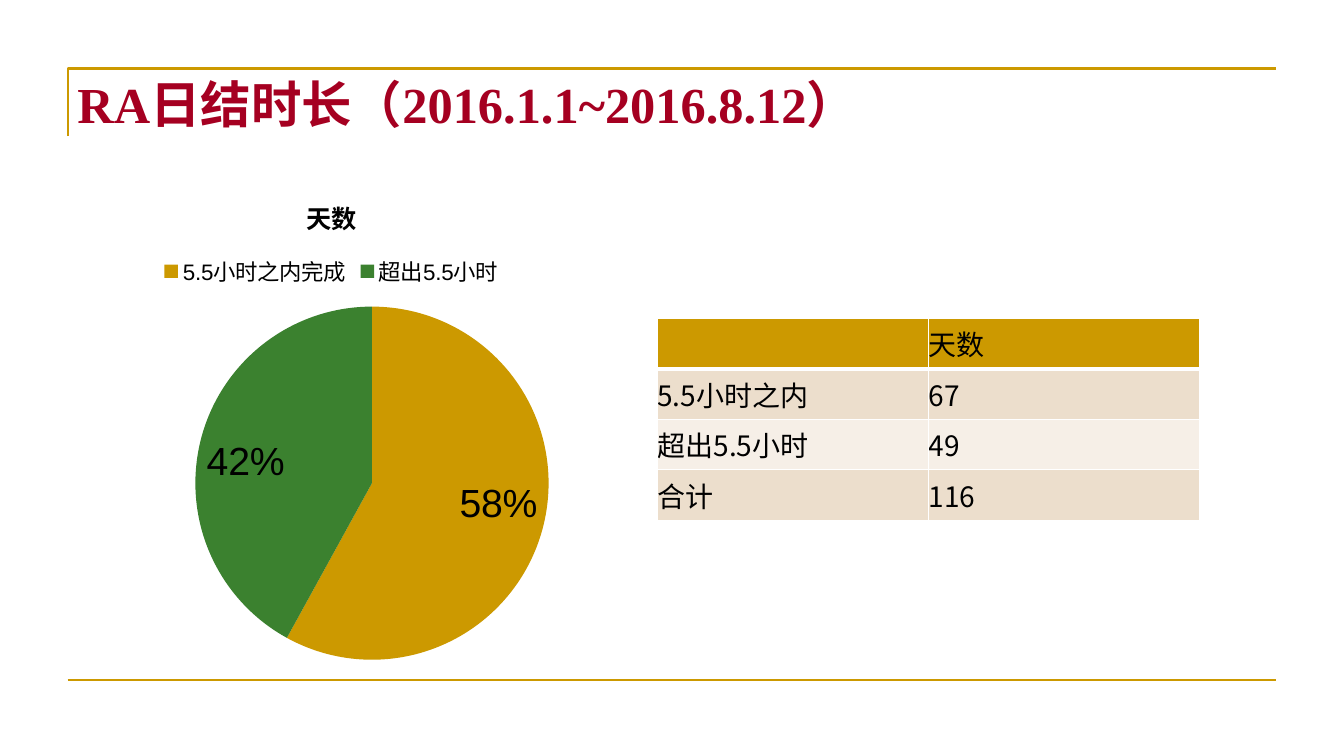
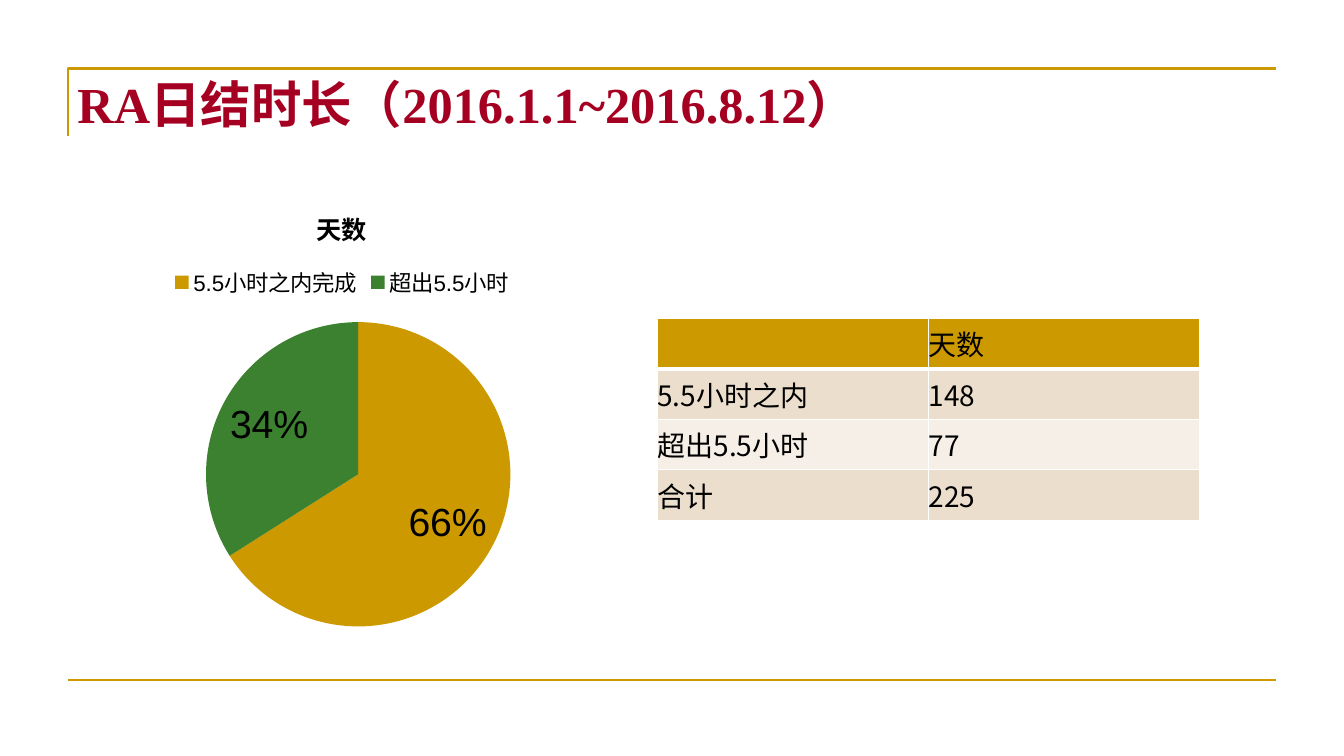
import pptx
import pptx.chart.data
import pptx.dml.color
import pptx.enum.chart
import pptx.enum.shapes
import pptx.enum.text
import pptx.oxml
import pptx.oxml.ns
import pptx.util
from lxml import etree

Inches, Pt = pptx.util.Inches, pptx.util.Pt
RGBColor = pptx.dml.color.RGBColor

# Content
TITLE = "RA日结时长（2016.1.1~2016.8.12）"
MEASURE = "天数"
CATEGORIES = ("5.5小时之内完成", "超出5.5小时")
ROW_LABELS = ("5.5小时之内", "超出5.5小时", "合计")
# chart: left, top, width, height in inches; pie: shares of the chart area
SLIDES = [
    {"days": (67, 49), "percent": (58, 42),
     "chart": (0.59, 1.75, 5.39, 4.95), "pie": (0.25, 0.26, 0.65, 0.71)},
    {"days": (148, 77), "percent": (66, 34),
     "chart": (0.67, 1.86, 5.44, 4.95), "pie": (0.25, 0.27, 0.56, 0.61)},
]

# Shared style
WIDTH, HEIGHT = 13.33, 7.5
MARGIN, FRAME_TOP, FRAME_BOTTOM = 0.67, 0.68, 6.75
TICK = 0.67
TABLE_LEFT, TABLE_TOP = 6.52, 3.16
COLUMN_WIDTH, ROW_HEIGHT = 2.69, 0.5
LATIN, SANS, CJK = "Times New Roman", "Arial", "Noto Sans CJK SC"
GOLD = RGBColor(0xCC, 0x99, 0x00)
GREEN = RGBColor(0x3B, 0x81, 0x2F)
CRIMSON = RGBColor(0xA5, 0x00, 0x21)
BLACK = RGBColor(0x00, 0x00, 0x00)
WHITE = RGBColor(0xFF, 0xFF, 0xFF)
BANDS = (RGBColor(0xEC, 0xDE, 0xCC), RGBColor(0xF6, 0xEF, 0xE7))


def style_font(font, name, size, color=BLACK, bold=False):
    font.name, font.size, font.bold = name, Pt(size), bold
    font.color.rgb = color


def set_east_asian(paragraph):
    for run in paragraph.runs:
        properties = run.font._element
        east_asian = etree.SubElement(properties, pptx.oxml.ns.qn("a:ea"))
        east_asian.set("typeface", CJK)


def add_frame(slide):
    """Corner line above the title and rule at the foot."""
    right = WIDTH - MARGIN
    builder = slide.shapes.build_freeform(
        Inches(MARGIN), Inches(FRAME_TOP + TICK))
    builder.add_line_segments(
        [(Inches(x), Inches(FRAME_TOP)) for x in (MARGIN, right)], close=False)
    corner = builder.convert_to_shape()
    corner.shadow.inherit = False
    corner.fill.background()
    rule = slide.shapes.add_connector(
        pptx.enum.shapes.MSO_CONNECTOR.STRAIGHT, Inches(MARGIN),
        Inches(FRAME_BOTTOM), Inches(right), Inches(FRAME_BOTTOM))
    etree.SubElement(rule._element.spPr, pptx.oxml.ns.qn("a:effectLst"))
    for shape in (corner, rule):
        shape.line.color.rgb = GOLD
        shape.line.width = Pt(1.5)


def add_title(slide):
    box = slide.shapes.add_textbox(
        Inches(MARGIN), Inches(FRAME_TOP),
        Inches(WIDTH - 2 * MARGIN), Inches(1.25))
    box.text_frame.word_wrap = True
    paragraph = box.text_frame.paragraphs[0]
    paragraph.text = TITLE
    style_font(paragraph.font, LATIN, 36, CRIMSON, bold=True)
    set_east_asian(paragraph)


def set_borders(cell, top, bottom):
    properties = cell._tc.get_or_add_tcPr()
    for side, width in (("L", 1), ("R", 1), ("T", top), ("B", bottom)):
        properties.append(pptx.oxml.parse_xml(
            f'<a:ln{side} {pptx.oxml.ns.nsdecls("a")} w="{Pt(width)}">'
            f'<a:solidFill><a:srgbClr val="{WHITE}"/></a:solidFill>'
            f'</a:ln{side}>'))


def add_days_table(slide, days):
    rows = [("", MEASURE), *zip(ROW_LABELS, (*days, sum(days)))]
    table = slide.shapes.add_table(
        len(rows), 2, Inches(TABLE_LEFT), Inches(TABLE_TOP),
        Inches(2 * COLUMN_WIDTH), Inches(len(rows) * ROW_HEIGHT)).table
    for column in table.columns:
        column.width = Inches(COLUMN_WIDTH)
    for r, values in enumerate(rows):
        for c, value in enumerate(values):
            cell = table.cell(r, c)
            set_borders(cell, top=3 if r == 1 else 1, bottom=3 if r == 0 else 1)
            cell.fill.solid()
            cell.fill.fore_color.rgb = BANDS[(r - 1) % 2] if r else GOLD
            cell.margin_left = cell.margin_right = 0
            cell.margin_top = cell.margin_bottom = 0
            cell.vertical_anchor = pptx.enum.text.MSO_ANCHOR.MIDDLE
            cell.text = str(value)
            paragraph = cell.text_frame.paragraphs[0]
            style_font(paragraph.font, CJK, 20)
            set_east_asian(paragraph)


def place_pie(chart, shares):
    """Fix the plot area at the given shares of the chart."""
    plot_area = chart._chartSpace.chart.plotArea
    for layout in plot_area.findall(pptx.oxml.ns.qn("c:layout")):
        plot_area.remove(layout)
    places = "".join(f'<c:{key} val="{share}"/>'
                     for key, share in zip("xywh", shares))
    plot_area.insert(0, pptx.oxml.parse_xml(
        f'<c:layout {pptx.oxml.ns.nsdecls("c")}><c:manualLayout>'
        '<c:layoutTarget val="inner"/><c:xMode val="edge"/>'
        f'<c:yMode val="edge"/>{places}</c:manualLayout></c:layout>'))


def add_pie(slide, percent, area, shares):
    data = pptx.chart.data.CategoryChartData()
    data.categories = CATEGORIES
    data.add_series(MEASURE, percent)
    chart = slide.shapes.add_chart(
        pptx.enum.chart.XL_CHART_TYPE.PIE, *map(Inches, area), data).chart
    style_font(chart.font, SANS, 10)
    chart.has_title = True
    heading = chart.chart_title.text_frame
    heading.text = MEASURE
    style_font(heading.paragraphs[0].font, SANS, 18, bold=True)
    chart.has_legend = True
    chart.legend.position = pptx.enum.chart.XL_LEGEND_POSITION.TOP
    chart.legend.include_in_layout = False
    style_font(chart.legend.font, SANS, 16)
    plot = chart.plots[0]
    plot.vary_by_categories = True
    for index, color in enumerate((GOLD, GREEN)):
        fill = plot.series[0].points[index].format.fill
        fill.solid()
        fill.fore_color.rgb = color
    plot.has_data_labels = True
    labels = plot.data_labels
    labels.show_percentage, labels.show_value = True, False
    labels.number_format, labels.number_format_is_linked = "0%", False
    labels.position = pptx.enum.chart.XL_LABEL_POSITION.INSIDE_END
    style_font(labels.font, SANS, 28)
    place_pie(chart, shares)


def main():
    presentation = pptx.Presentation()
    presentation.slide_width = Inches(WIDTH)
    presentation.slide_height = Inches(HEIGHT)
    for content in SLIDES:
        slide = presentation.slides.add_slide(presentation.slide_layouts[6])
        add_frame(slide)
        add_title(slide)
        add_days_table(slide, content["days"])
        add_pie(slide, content["percent"], content["chart"], content["pie"])
    presentation.save("out.pptx")


if __name__ == "__main__":
    main()
